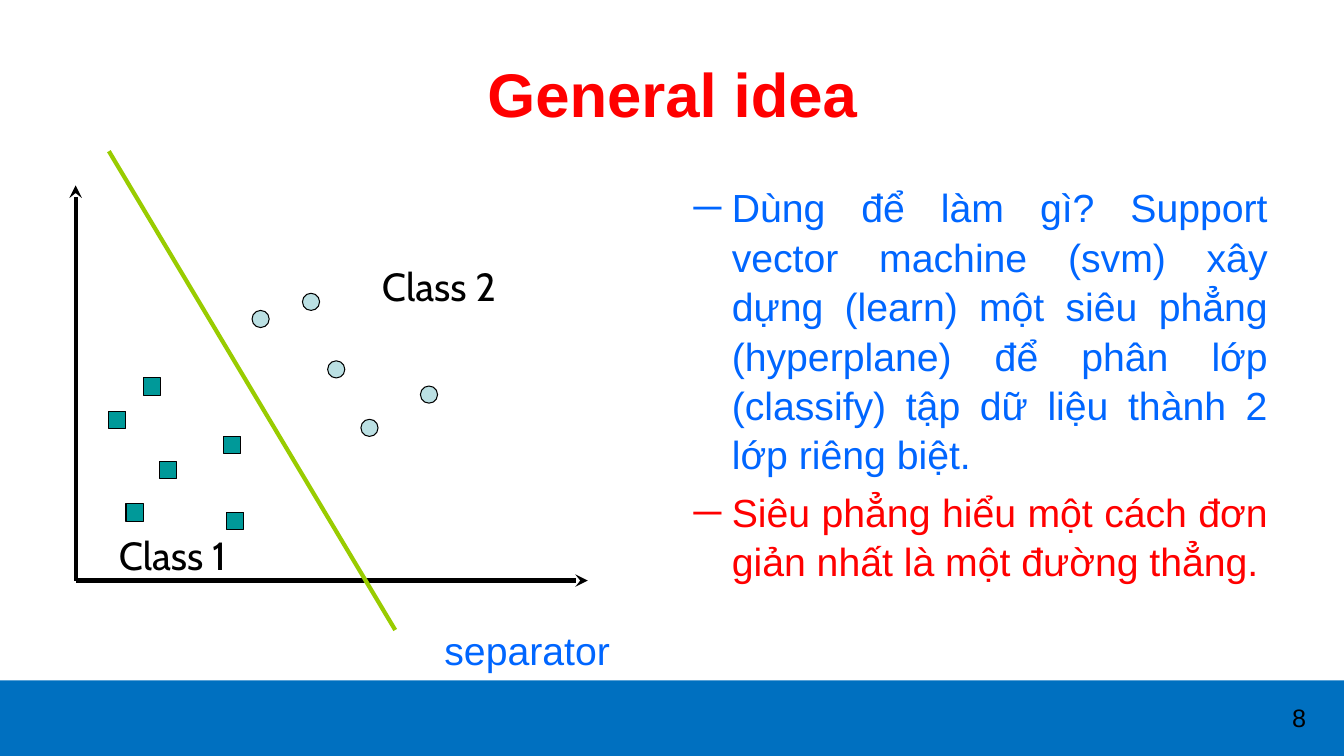
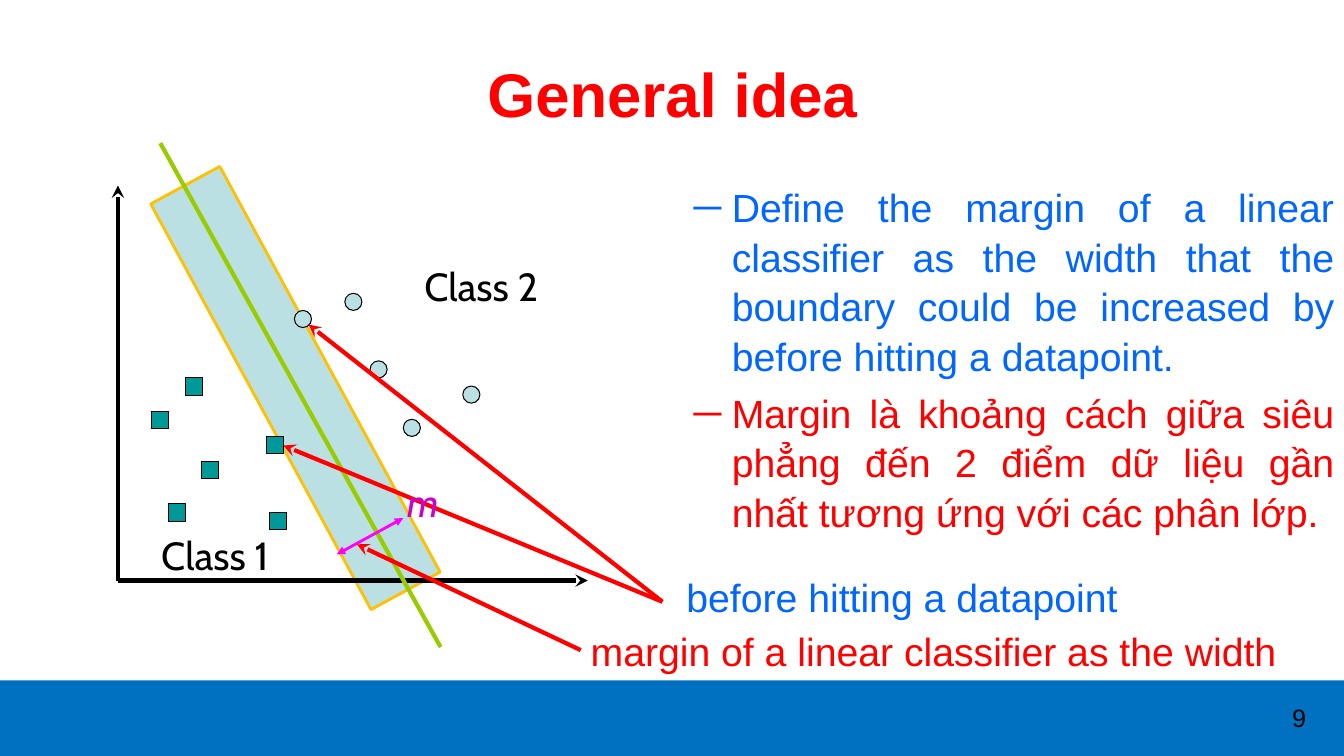
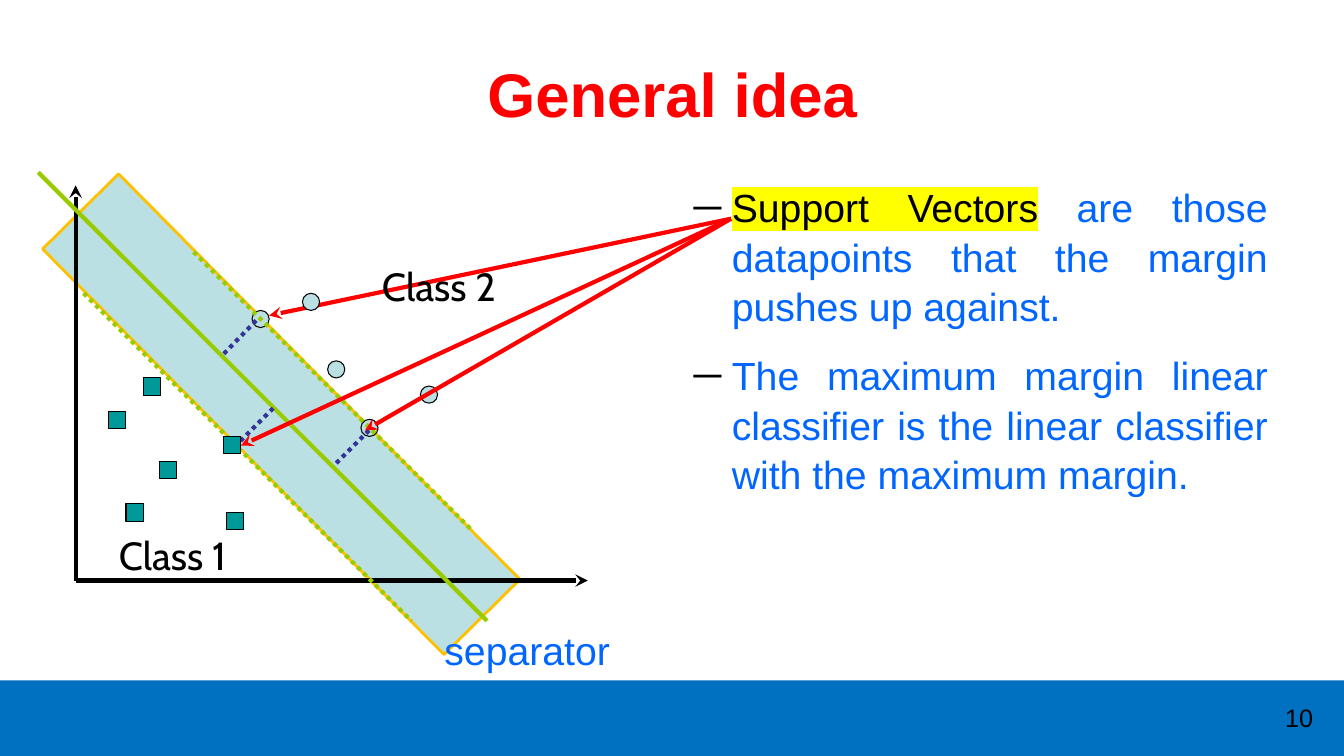
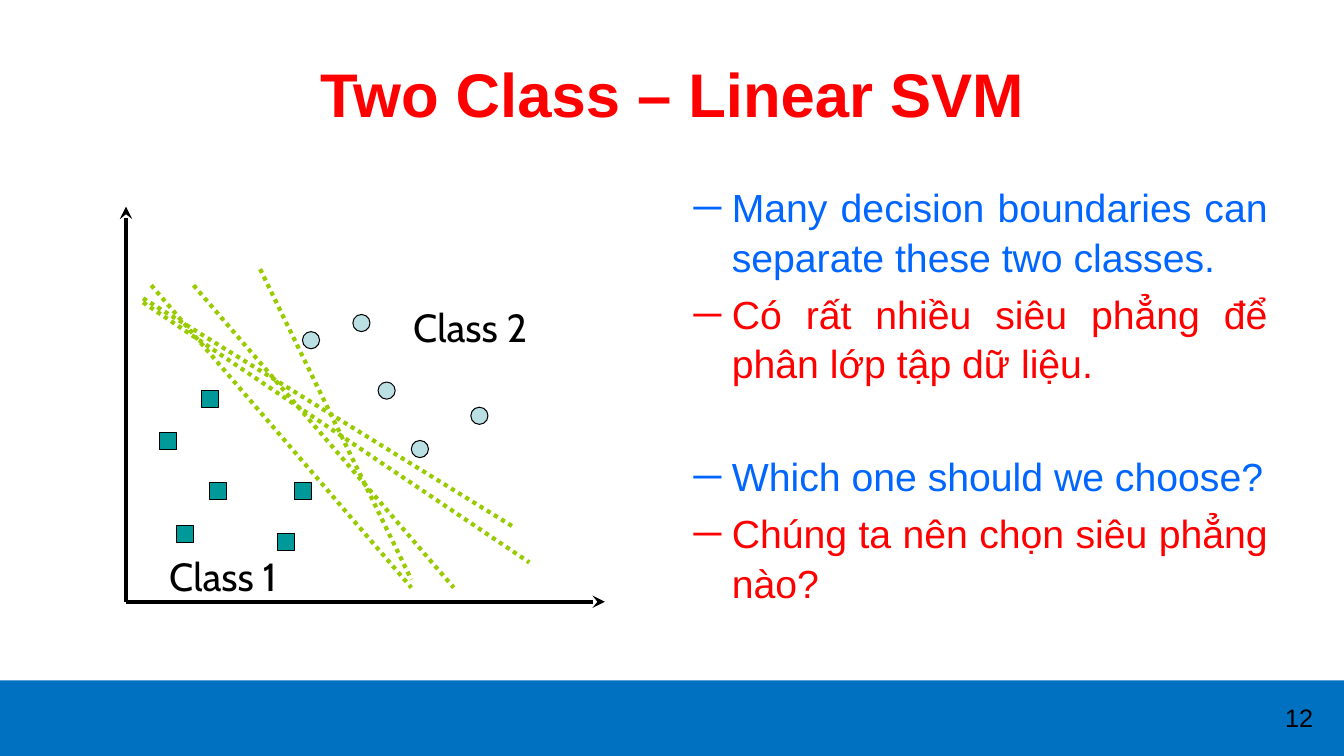
from dataclasses import dataclass

from lxml import etree
from pptx import Presentation
from pptx.dml.color import RGBColor
from pptx.enum.dml import MSO_LINE
from pptx.enum.shapes import MSO_CONNECTOR, MSO_SHAPE
from pptx.enum.text import MSO_ANCHOR, PP_ALIGN
from pptx.oxml.ns import qn
from pptx.util import Inches, Pt

BLACK = RGBColor(0x00, 0x00, 0x00)
RED = RGBColor(0xFF, 0x00, 0x00)
BLUE = RGBColor(0x00, 0x66, 0xFF)
BAND_BLUE = RGBColor(0x00, 0x70, 0xC0)
PALE = RGBColor(0xBB, 0xE0, 0xE3)
TEAL = RGBColor(0x00, 0x99, 0x99)
GREEN = RGBColor(0x99, 0xCC, 0x00)
GOLD = RGBColor(0xFF, 0xC0, 0x00)
NAVY = RGBColor(0x33, 0x33, 0x99)
MAGENTA = RGBColor(0xFF, 0x00, 0xFF)
PURPLE = RGBColor(0xCC, 0x00, 0xCC)
YELLOW = RGBColor(0xFF, 0xFF, 0x00)

SANS = "Arial"
LABEL_FONT = "Cabin"
RECTANGLE = MSO_SHAPE.RECTANGLE
OVAL = MSO_SHAPE.OVAL
STRAIGHT = MSO_CONNECTOR.STRAIGHT
DOTTED = MSO_LINE.ROUND_DOT
CENTER = PP_ALIGN.CENTER
JUSTIFY = PP_ALIGN.JUSTIFY
MIDDLE = MSO_ANCHOR.MIDDLE

PAGE_WIDTH = 13.33
PAGE_HEIGHT = 7.5
BAND_HEIGHT = 0.75
MARK_SIZE = 0.17
INDENT = 0.38
SMALL_GAP = 5.6
MEDIUM_GAP = 14
LARGE_GAP = 45

CIRCLES = [(2.25, 1.07), (2.5, 1.74), (3.42, 1.99), (1.75, 1.24), (2.83, 2.32)]
SQUARES = [(0.33, 2.24), (1.5, 3.24), (0.83, 2.74), (0.5, 3.16), (0.67, 1.91)]
NEAR_SQUARE = (1.47, 2.49)
SPREAD_SQUARES = [(0.33, 2.24), (1.67, 2.74), (1.5, 3.24), (0.83, 2.74),
                  (0.5, 3.16), (0.75, 1.82)]


@dataclass
class Box:
    """A region of a page, in inches."""
    left: float
    top: float
    width: float
    height: float

    def inside(self, spot, width, height):
        """Return a box placed relative to this one."""
        return Box(self.left + spot[0], self.top + spot[1], width, height)

    def lengths(self):
        """Return left, top, width and height as lengths."""
        return [Inches(value) for value in
                (self.left, self.top, self.width, self.height)]


TITLE_BOX = Box(0.67, 0.3, 12, 1.25)
NUMBER_BOX = Box(12.44, 6.92, 0.89, 0.4)
BODY_BOX = Box(6.78, 1.75, 5.89, 4.95)
WIDE_BODY_BOX = Box(6.78, 1.75, 6.55, 4.95)
PLOT_BOX = Box(0.75, 1.84, 5.08, 3.92)
MARGIN_PLOT_BOX = Box(1.17, 1.84, 4.66, 3.92)
CHOICE_PLOT_BOX = Box(1.25, 2.05, 4.75, 3.92)


def write(para, text, size=28, color=BLACK, font=SANS, bold=False,
          italic=False, highlight=None):
    """Add one formatted span to a paragraph."""
    span = para.add_run()
    span.text = text
    span.font.size = Pt(size)
    span.font.bold = bold
    span.font.italic = italic
    span.font.color.rgb = color
    span.font.name = font
    if highlight is not None:
        mark = etree.Element(qn("a:highlight"))
        etree.SubElement(mark, qn("a:srgbClr"), val=str(highlight))
        span._r.rPr.find(qn("a:solidFill")).addnext(mark)


def add_frame(page, box):
    """Add a wrapping text box and return its text frame."""
    frame = page.shapes.add_textbox(*box.lengths()).text_frame
    frame.word_wrap = True
    return frame


def add_label(page, box, spot, width, text, **style):
    """Add a one-line label at a spot of the box."""
    frame = add_frame(page, box.inside(spot, width, 0.57))
    write(frame.paragraphs[0], text, **style)


def add_block(page, preset, box, fill, line=None, weight=0.75, angle=0):
    """Add a plain filled shape."""
    shape = page.shapes.add_shape(preset, *box.lengths())
    shape.shadow.inherit = False
    shape.rotation = angle
    shape.fill.solid()
    shape.fill.fore_color.rgb = fill
    if line is None:
        shape.line.fill.background()
    else:
        shape.line.color.rgb = line
        shape.line.width = Pt(weight)
    return shape


def add_line(page, box, start, end, color, weight=3, dash=None,
             head=None, tail=None):
    """Draw a line between two spots of the box."""
    corners = [Inches(value) for value in
               (box.left + start[0], box.top + start[1],
                box.left + end[0], box.top + end[1])]
    connector = page.shapes.add_connector(STRAIGHT, *corners)
    connector.line.color.rgb = color
    connector.line.width = Pt(weight)
    if dash is not None:
        connector.line.dash_style = dash
    properties = connector.element.spPr
    for tag, kind in (("a:headEnd", head), ("a:tailEnd", tail)):
        if kind:
            etree.SubElement(properties.find(qn("a:ln")), qn(tag), type=kind)
    etree.SubElement(properties, qn("a:effectLst"))


def add_square(page, box, spot):
    """Add a data point of the first class."""
    add_block(page, RECTANGLE, box.inside(spot, MARK_SIZE, MARK_SIZE), TEAL, BLACK)


def add_plot(page, box, squares, second_label=(2.94, 0.71)):
    """Draw the axes, the points of both classes and their labels."""
    corner = (0, box.height)
    for end in ((0, 0), (box.width, box.height)):
        add_line(page, box, corner, end, BLACK, tail="stealth")
    for spot in CIRCLES:
        add_block(page, OVAL, box.inside(spot, MARK_SIZE, MARK_SIZE), PALE, BLACK)
    for spot in squares:
        add_square(page, box, spot)
    for text, spot in (("Class 1", (0.33, 3.38)), ("Class 2", second_label)):
        add_label(page, box, spot, 1.42, text, font=LABEL_FONT)


def add_margin(page, box, spot, width, height, angle):
    """Draw the tilted margin strip."""
    add_block(page, RECTANGLE, box.inside(spot, width, height), PALE, GOLD,
              weight=2, angle=angle)


def add_separator_label(page, box):
    """Name the separating line."""
    add_label(page, box, (3.56, 4.32), 1.87, "separator", color=BLUE)


def add_item(frame, index, gap=0, bullet_color=None):
    """Add a dashed, justified paragraph to the body."""
    para = frame.add_paragraph() if index else frame.paragraphs[0]
    properties = para._p.get_or_add_pPr()
    properties.set("marL", str(Inches(INDENT)))
    properties.set("indent", str(-Inches(INDENT)))
    if bullet_color is not None:
        tint = etree.SubElement(properties, qn("a:buClr"))
        etree.SubElement(tint, qn("a:srgbClr"), val=str(bullet_color))
    etree.SubElement(properties, qn("a:buFont"), typeface=SANS)
    etree.SubElement(properties, qn("a:buChar"), char="─")
    para.alignment = JUSTIFY
    para.line_spacing = 1.05
    if gap:
        para.space_before = Pt(gap)
    return para


def add_body(page, box, items):
    """Write the body from triples of text, colour and gap before."""
    frame = add_frame(page, box)
    for index, (text, color, gap) in enumerate(items):
        write(add_item(frame, index, gap), text, color=color)


def add_page(deck, title, number):
    """Add a page with its title and number."""
    page = deck.slides.add_slide(deck.slide_layouts[5])
    heading = page.shapes.title
    heading.left, heading.top, heading.width, heading.height = TITLE_BOX.lengths()
    heading.text_frame.vertical_anchor = MIDDLE
    para = heading.text_frame.paragraphs[0]
    para.alignment = CENTER
    write(para, title, size=44, color=RED, bold=True)
    para = add_frame(page, NUMBER_BOX).paragraphs[0]
    para.alignment = CENTER
    write(para, str(number), size=18)
    return page


def share_band(page):
    """Put the bottom band on the layout that all pages use."""
    box = Box(0, PAGE_HEIGHT - BAND_HEIGHT, PAGE_WIDTH, BAND_HEIGHT)
    band = add_block(page, RECTANGLE, box, BAND_BLUE)
    page.slide_layout.shapes.element.append(band.element)


def add_separator_page(deck):
    """Build the page on the separating line."""
    page = add_page(deck, "General idea", 8)
    share_band(page)
    add_body(page, BODY_BOX, [
        ("Dùng để làm gì? Support vector machine (svm) xây dựng (learn) một siêu "
         "phẳng (hyperplane) để phân lớp (classify) tập dữ liệu thành 2 lớp riêng "
         "biệt.", BLUE, 0),
        ("Siêu phẳng hiểu một cách đơn giản nhất là một đường thẳng.", RED, SMALL_GAP),
    ])
    box = PLOT_BOX
    add_plot(page, box, SQUARES + [NEAR_SQUARE])
    add_line(page, box, (0.33, -0.34), (3.17, 4.41), GREEN)
    add_separator_label(page, box)


def add_margin_page(deck):
    """Build the page on the margin."""
    page = add_page(deck, "General idea", 9)
    add_body(page, WIDE_BODY_BOX, [
        ("Define the margin of a linear classifier as the width that the boundary "
         "could be increased by before hitting a datapoint.", BLUE, 0),
        ("Margin là khoảng cách giữa siêu phẳng đến 2 điểm dữ liệu gần nhất tương "
         "ứng với các phân lớp.", RED, SMALL_GAP),
    ])
    box = MARGIN_PLOT_BOX
    add_margin(page, box, (-0.53, 1.62), 4.58, 0.78, 61.5)
    add_plot(page, box, SQUARES + [NEAR_SQUARE])
    add_line(page, box, (0.42, -0.42), (3.2, 4.58), GREEN)
    for end in ((1.89, 1.38), (1.64, 2.58)):
        add_line(page, box, (5.4, 4.13), end, RED, tail="stealth")
    add_label(page, box, (5.54, 3.8), 4.53, "before hitting a datapoint", color=BLUE)
    add_label(page, box, (4.59, 4.33), 7.09,
              "margin of a linear classifier as the width", color=RED)
    add_line(page, box, (2.83, 3.3), (2.17, 3.66), MAGENTA, weight=2,
             head="triangle", tail="triangle")
    add_label(page, box, (2.77, 2.86), 0.53, "m", color=PURPLE, font=LABEL_FONT,
              italic=True)
    add_line(page, box, (4.59, 4.61), (2.37, 3.56), RED, tail="stealth")


def add_support_page(deck):
    """Build the page on the support vectors."""
    page = add_page(deck, "General idea", 10)
    box = PLOT_BOX
    source = (6.5, 0.33)
    add_line(page, box, source, (1.92, 1.29), RED, tail="stealth")
    add_margin(page, box, (-0.79, 1.74), 5.66, 1.06, 45.3)
    frame = add_frame(page, BODY_BOX)
    para = add_item(frame, 0, bullet_color=BLACK)
    write(para, "Support Vectors", highlight=YELLOW)
    write(para, " are those datapoints that the margin pushes up against.", color=BLUE)
    para = add_item(frame, 1, MEDIUM_GAP, bullet_color=BLACK)
    write(para, "The maximum margin linear classifier is the linear classifier "
          "with the maximum margin.", color=BLUE)
    add_plot(page, box, SQUARES)
    for start, end in (((1.17, 0.66), (3.92, 3.41)), ((0.08, 1.07), (3.33, 4.32))):
        add_line(page, box, start, end, GREEN, dash=DOTTED)
    add_line(page, box, (-0.37, -0.13), (4.08, 4.32), GREEN)
    add_separator_label(page, box)
    for start, end in (((1.79, 1.34), (1.46, 1.68)), ((1.96, 2.21), (1.61, 2.56)),
                       ((2.91, 2.43), (2.57, 2.77))):
        add_line(page, box, start, end, NAVY, dash=DOTTED)
    for end in ((1.64, 2.58), (2.87, 2.43)):
        add_line(page, box, source, end, RED, tail="stealth")
    add_square(page, box, NEAR_SQUARE)


def add_choice_page(deck):
    """Build the page on the many possible boundaries."""
    page = add_page(deck, "Two Class – Linear SVM", 12)
    add_body(page, BODY_BOX, [
        ("Many decision boundaries can separate these two classes.", BLUE, 0),
        ("Có rất nhiều siêu phẳng để phân lớp tập dữ liệu.", RED, SMALL_GAP),
        ("Which one should we choose?", BLUE, LARGE_GAP),
        ("Chúng ta nên chọn siêu phẳng nào?", RED, SMALL_GAP),
    ])
    box = CHOICE_PLOT_BOX
    add_plot(page, box, SPREAD_SQUARES, second_label=(2.75, 0.91))
    for start, end in (((0.25, 0.78), (2.83, 3.78)), ((0.67, 0.78), (3.25, 3.78)),
                       ((0.17, 0.95), (4, 3.53)), ((1.33, 0.62), (2.83, 3.7)),
                       ((0.17, 0.91), (3.83, 3.17))):
        add_line(page, box, start, end, GREEN, dash=DOTTED)


def main():
    """Build and save the deck."""
    deck = Presentation()
    deck.slide_width = Inches(PAGE_WIDTH)
    deck.slide_height = Inches(PAGE_HEIGHT)
    add_separator_page(deck)
    add_margin_page(deck)
    add_support_page(deck)
    add_choice_page(deck)
    deck.save("out.pptx")


if __name__ == "__main__":
    main()
